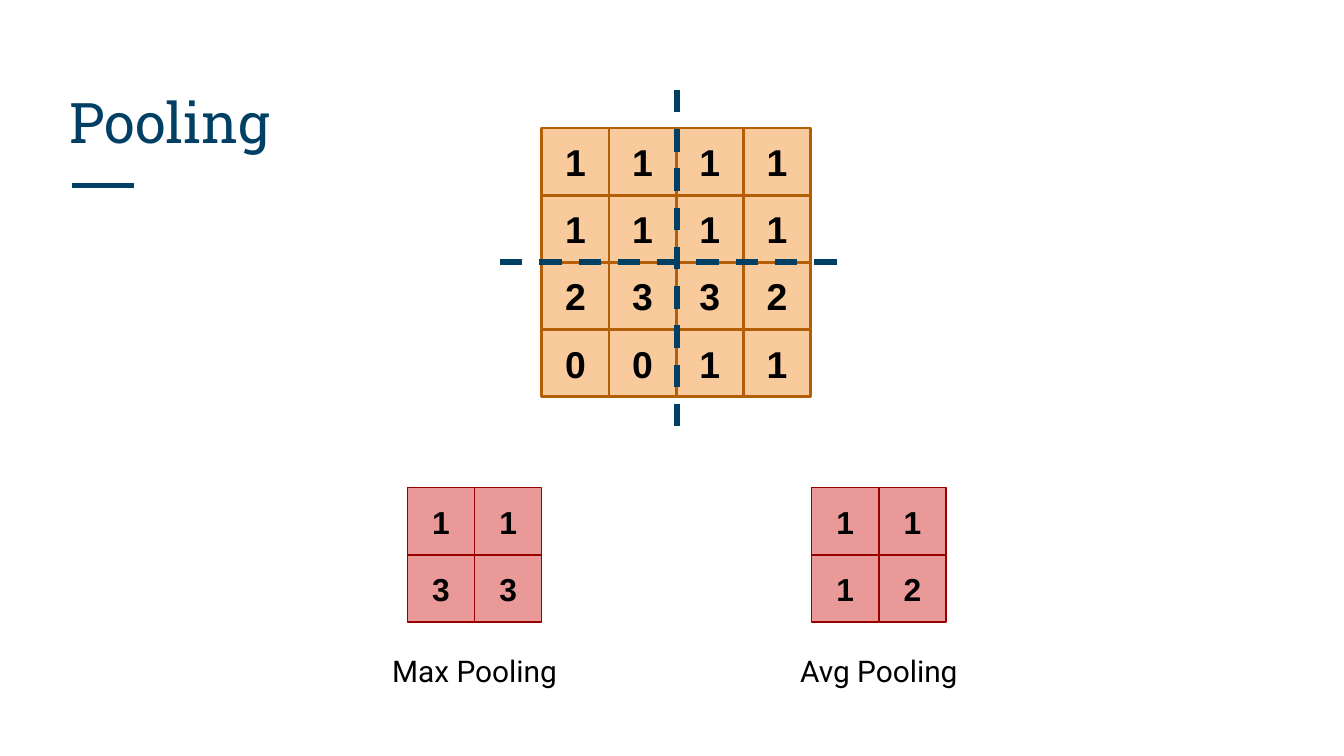
from lxml import etree
from pptx import Presentation
from pptx.dml.color import RGBColor
from pptx.enum import dml, shapes, text
from pptx.oxml import ns
from pptx.util import Cm, Pt

NAVY = RGBColor(0x00, 0x40, 0x65)
BLACK = RGBColor(0x00, 0x00, 0x00)
ORANGE = RGBColor(0xF9, 0xCB, 0x9C)
BROWN = RGBColor(0xB4, 0x5F, 0x06)
PINK = RGBColor(0xEA, 0x99, 0x99)
RED = RGBColor(0x99, 0x00, 0x00)

TITLE = "Pooling"
INPUT = [(1, 1, 1, 1), (1, 1, 1, 1), (2, 3, 3, 2), (0, 0, 1, 1)]
RESULTS = [
    ("Max Pooling", [(1, 1), (3, 3)], 7.7),
    ("Avg Pooling", [(1, 1), (1, 2)], 15.34),
]

CELL = 1.27
INPUT_LEFT, INPUT_TOP = 10.24, 2.42
RESULT_TOP = 9.22
LABEL_TOP, LABEL_WIDTH, LABEL_HEIGHT = 12.09, 3.81, 1.19
INSET = Cm(0.25)
INPUT_STYLE = (ORANGE, BROWN, 1.5, 20)
RESULT_STYLE = (PINK, RED, 0.75, 17)


def write(shape, words, font, size, color, align, anchor, bold=False):
    frame = shape.text_frame
    frame.word_wrap = True
    frame.vertical_anchor = anchor
    frame.margin_left = frame.margin_right = INSET
    frame.margin_top = frame.margin_bottom = INSET
    para = frame.paragraphs[0]
    para.text = words
    para.alignment = align
    para.font.name = font
    para.font.size = Pt(size)
    para.font.bold = bold
    para.font.color.rgb = color


def add_text(page, left, top, width, height, *style):
    box = page.shapes.add_textbox(Cm(left), Cm(top), Cm(width), Cm(height))
    write(box, *style)


def add_grid(parent, rows, left, top, style):
    fill, outline, weight, size = style
    for row, values in enumerate(rows):
        for column, value in enumerate(values):
            cell = parent.add_shape(
                shapes.MSO_SHAPE.RECTANGLE,
                Cm(left + column * CELL), Cm(top + row * CELL), Cm(CELL), Cm(CELL))
            cell.shadow.inherit = False
            cell.fill.solid()
            cell.fill.fore_color.rgb = fill
            cell.line.color.rgb = outline
            cell.line.width = Pt(weight)
            write(cell, str(value), "Arial", size, BLACK,
                  text.PP_ALIGN.CENTER, text.MSO_ANCHOR.MIDDLE, True)


def add_line(page, start_x, start_y, end_x, end_y, dashed=False):
    line = page.shapes.add_connector(
        shapes.MSO_CONNECTOR.STRAIGHT,
        Cm(start_x), Cm(start_y), Cm(end_x), Cm(end_y))
    line.line.color.rgb = NAVY
    line.line.width = Pt(3)
    if dashed:
        line.line.dash_style = dml.MSO_LINE.DASH
    etree.SubElement(line._element.spPr, ns.qn("a:effectLst"))


def main():
    deck = Presentation()
    deck.slide_width, deck.slide_height = Cm(25.4), Cm(14.29)
    page = deck.slides.add_slide(deck.slide_layouts[6])

    add_line(page, 1.37, 3.51, 2.54, 3.51)
    add_text(page, 1.07, 1.27, 23.24, 1.9, TITLE, "Roboto Slab", 30, NAVY,
             text.PP_ALIGN.LEFT, text.MSO_ANCHOR.BOTTOM)

    add_grid(page.shapes, INPUT, INPUT_LEFT, INPUT_TOP, INPUT_STYLE)
    add_line(page, 9.45, 4.95, 15.95, 4.95, dashed=True)
    add_line(page, 12.8, 1.7, 12.8, 8.2, dashed=True)

    for label, rows, left in RESULTS:
        group = page.shapes.add_group_shape()
        add_grid(group.shapes, rows, left, RESULT_TOP, RESULT_STYLE)
        add_text(page, left + CELL - LABEL_WIDTH / 2, LABEL_TOP,
                 LABEL_WIDTH, LABEL_HEIGHT, label, "Roboto", 16, BLACK,
                 text.PP_ALIGN.CENTER, text.MSO_ANCHOR.TOP)

    deck.save("out.pptx")


if __name__ == "__main__":
    main()
